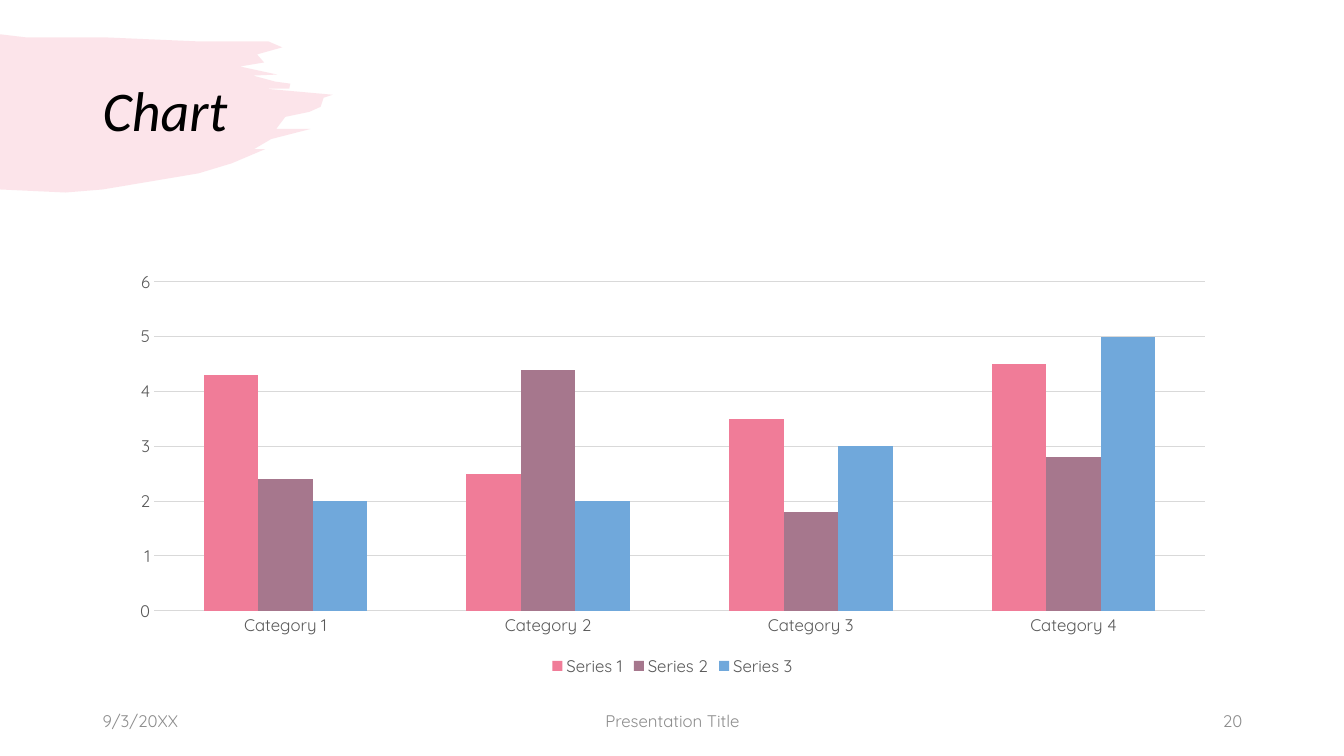
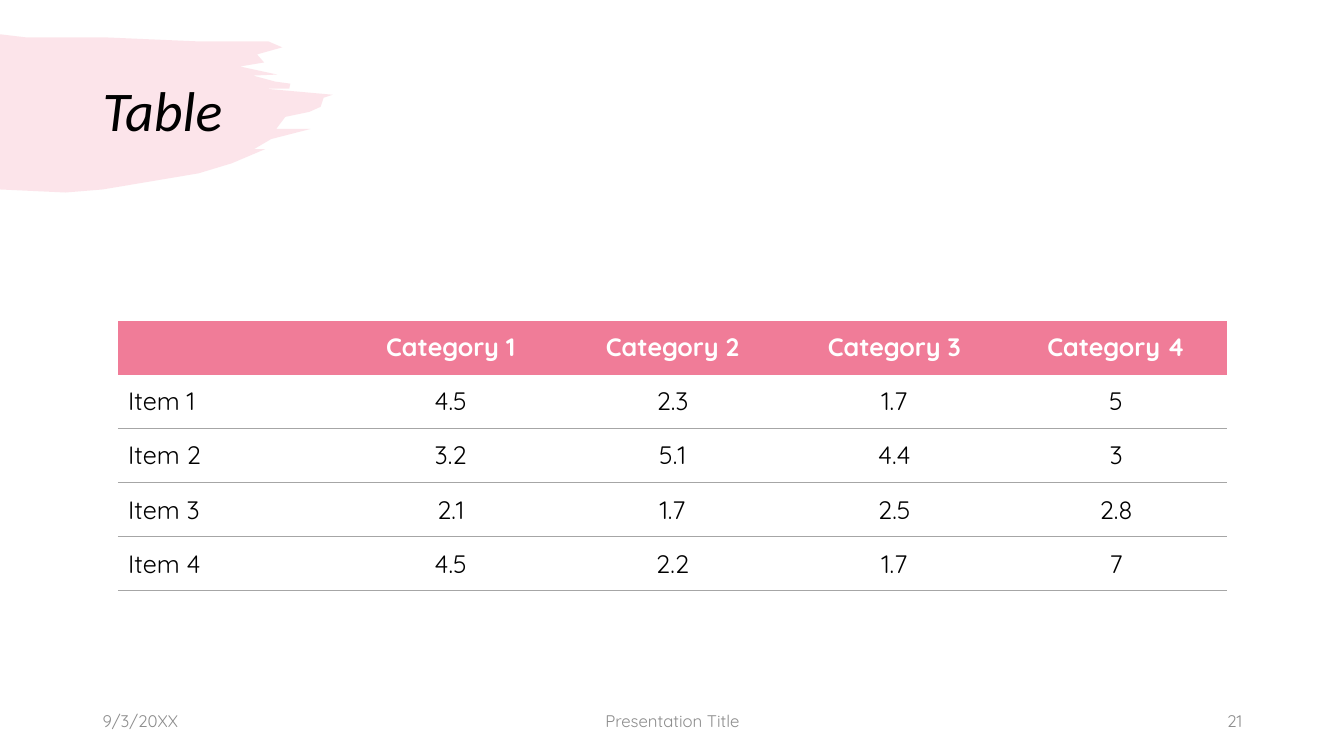
from dataclasses import dataclass

from lxml import etree
from pptx import Presentation
from pptx import util as u
from pptx.chart.data import CategoryChartData
from pptx.dml.color import RGBColor
from pptx.enum import chart as ch, text as tx
from pptx.oxml.ns import qn


@dataclass(frozen=True)
class Theme:
    head: str = "Calibri"
    body: str = "Quicksand"
    pink: str = "F07C98"
    mauve: str = "A6778D"
    blue: str = "70A8DB"
    black: str = "000000"
    white: str = "FFFFFF"
    label: str = "595959"
    foot: str = "8C8C8C"
    grid: str = "D9D9D9"
    rule: str = "A6A6A6"
    title: int = 40
    cell: int = 18
    small: int = 12


T = Theme()
LEFT, MID, RIGHT = tx.PP_ALIGN.LEFT, tx.PP_ALIGN.CENTER, tx.PP_ALIGN.RIGHT

# Corners of the brush stroke in inches, clockwise from the top left
STROKE = (
    (0, 0.34), (0.25, 0.37), (1.02, 0.37), (1.94, 0.41), (2.66, 0.41),
    (2.8, 0.47), (2.55, 0.54), (2.62, 0.62), (2.38, 0.66), (2.75, 0.74),
    (2.51, 0.75), (2.73, 0.81), (2.88, 0.83), (2.87, 0.88), (2.63, 0.88),
    (3.3, 0.94), (3.21, 0.97), (3.18, 1.06), (3.07, 1.11), (2.83, 1.16),
    (2.74, 1.28), (3.08, 1.28), (2.69, 1.38), (2.52, 1.48), (2.63, 1.48),
    (2.3, 1.62), (1.97, 1.72), (1.02, 1.88), (0.65, 1.91), (0, 1.88),
)


def rgb(code):
    return RGBColor.from_string(code)


def box(at):
    return [u.Inches(n) for n in at]


def style(font, size, color, name=T.body, bold=False, italic=False):
    font.name, font.size, font.color.rgb = name, u.Pt(size), rgb(color)
    font.bold, font.italic = bold, italic


def label(slide, at, words, size, color, align=LEFT, **look):
    frame = slide.shapes.add_textbox(*box(at)).text_frame
    frame.word_wrap = True
    frame.vertical_anchor = tx.MSO_ANCHOR.MIDDLE
    para = frame.paragraphs[0]
    para.text, para.alignment = words, align
    style(para.font, size, color, **look)
    return para


# Brush stroke behind the title
def brush(slide):
    first, *rest = [box(dot) for dot in STROKE]
    pen = slide.shapes.build_freeform(*first)
    pen.add_line_segments(rest, close=True)
    shape = pen.convert_to_shape()
    shape.shadow.inherit = False
    shape.line.fill.background()
    shape.fill.solid()
    shape.fill.fore_color.rgb = rgb(T.pink)
    tint = shape._element.spPr.find(qn("a:solidFill"))[0]
    etree.SubElement(tint, qn("a:alpha"), val="20000")


# Slide with the shared brush, title and footer
def page(deck, title, num):
    slide = deck.slides.add_slide(deck.slide_layouts[6])
    brush(slide)
    head = label(slide, (0.92, 0.4, 11.5, 1.45), title, T.title, T.black,
                 name=T.head, italic=True)
    head.line_spacing = 0.9
    for left, width, words, align in ((0.92, 3, "9/3/20XX", LEFT),
                                      (4.42, 4.5, "Presentation Title", MID),
                                      (9.42, 3, str(num), RIGHT)):
        label(slide, (left, 6.95, width, 0.4), words, T.small, T.foot, align)
    return slide


# Column chart
def columns(slide, at, cats, series):
    data = CategoryChartData()
    data.categories = cats
    for name, vals, _ in series:
        data.add_series(name, vals)
    chart = slide.shapes.add_chart(ch.XL_CHART_TYPE.COLUMN_CLUSTERED,
                                   *box(at), data).chart
    style(chart.font, T.small, T.label)
    chart.has_title = False
    chart.has_legend = True
    chart.legend.position = ch.XL_LEGEND_POSITION.BOTTOM
    chart.legend.include_in_layout = False
    style(chart.legend.font, T.small, T.label)

    plot = chart.plots[0]
    plot.gap_width, plot.overlap, plot.vary_by_categories = 182, 0, False
    for bar, (_, _, color) in zip(plot.series, series):
        bar.format.fill.solid()
        bar.format.fill.fore_color.rgb = rgb(color)

    cat, val = chart.category_axis, chart.value_axis
    for axis in (cat, val):
        axis.major_tick_mark = axis.minor_tick_mark = ch.XL_TICK_MARK.NONE
        style(axis.tick_labels.font, T.small, T.label)
    val.minimum_scale, val.maximum_scale, val.major_unit = 0, 6, 1
    val.format.line.fill.background()
    for line in (cat.format.line, val.major_gridlines.format.line):
        line.color.rgb, line.width = rgb(T.grid), u.Pt(0.75)


# Table
def border(cell, ruled):
    """Rule the sides named in ruled and clear the others."""
    props = cell._tc.get_or_add_tcPr()
    for i, side in enumerate("LRTB"):
        line = etree.Element(qn("a:ln" + side), w=str(u.Pt(0.25)))
        if side in ruled:
            fill = etree.SubElement(line, qn("a:solidFill"))
            etree.SubElement(fill, qn("a:srgbClr"), val=T.rule)
        else:
            etree.SubElement(line, qn("a:noFill"))
        props.insert(i, line)


def grid(slide, at, rows):
    high, wide = len(rows), len(rows[0])
    table = slide.shapes.add_table(high, wide, *box(at)).table
    table.horz_banding = False
    for r, row in enumerate(rows):
        for c, words in enumerate(row):
            cell = table.cell(r, c)
            cell.vertical_anchor = tx.MSO_ANCHOR.MIDDLE
            para = cell.text_frame.paragraphs[0]
            para.text, para.alignment = words, MID if c else LEFT
            if r == 0:
                cell.fill.solid()
                cell.fill.fore_color.rgb = rgb(T.pink)
                style(para.font, T.cell, T.white, bold=True)
            else:
                cell.fill.background()
                style(para.font, T.cell, T.black)
            border(cell, ("", "B")[r] if r < 2 else "TB")


def main():
    deck = Presentation()
    deck.slide_width, deck.slide_height = box((13.33, 7.5))
    cats = [f"Category {n}" for n in range(1, 5)]

    columns(page(deck, "Chart", 20), (1.17, 2.61, 11, 4.14), cats, (
        ("Series 1", (4.3, 2.5, 3.5, 4.5), T.pink),
        ("Series 2", (2.4, 4.4, 1.8, 2.8), T.mauve),
        ("Series 3", (2, 2, 3, 5), T.blue)))

    grid(page(deck, "Table", 21), (1.17, 3.18, 11, 2.68), (
        ("", *cats),
        ("Item 1", "4.5", "2.3", "1.7", "5"),
        ("Item 2", "3.2", "5.1", "4.4", "3"),
        ("Item 3", "2.1", "1.7", "2.5", "2.8"),
        ("Item 4", "4.5", "2.2", "1.7", "7")))

    deck.save("out.pptx")


if __name__ == "__main__":
    main()
